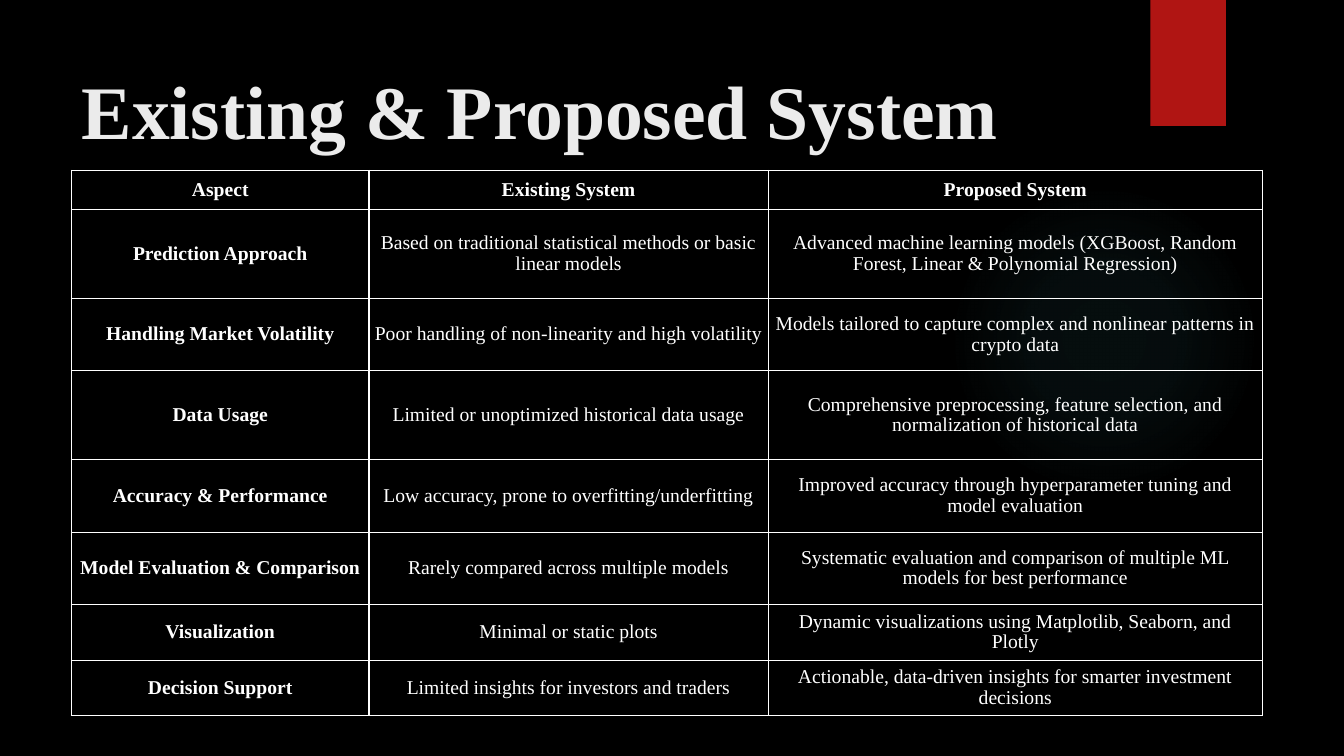
from lxml.etree import SubElement
from pptx import Presentation
from pptx.dml.color import RGBColor
from pptx.enum.shapes import MSO_SHAPE as SHAPE
from pptx.enum.text import MSO_ANCHOR as ANCHOR, PP_ALIGN as ALIGN
from pptx.oxml import parse_xml
from pptx.oxml.ns import nsdecls, qn
from pptx.util import Inches, Pt

COLORS = {"back": "000000", "title": "EBEBEB", "text": "FFFFFF",
          "border": "FFFFFF", "tab": "B01513", "glow": "50B9C1"}
FONT = "Times New Roman"
TITLE = "Existing & Proposed System"
ROWS = [
    ("Aspect", "Existing System", "Proposed System"),
    ("Prediction Approach",
     "Based on traditional statistical methods or basic linear models",
     "Advanced machine learning models (XGBoost, Random Forest, Linear & Polynomial Regression)"),
    ("Handling Market Volatility",
     "Poor handling of non-linearity and high volatility",
     "Models tailored to capture complex and nonlinear patterns in crypto data"),
    ("Data Usage",
     "Limited or unoptimized historical data usage",
     "Comprehensive preprocessing, feature selection, and normalization of historical data"),
    ("Accuracy & Performance",
     "Low accuracy, prone to overfitting/underfitting",
     "Improved accuracy through hyperparameter tuning and model evaluation"),
    ("Model Evaluation & Comparison",
     "Rarely compared across multiple models",
     "Systematic evaluation and comparison of multiple ML models for best performance"),
    ("Visualization",
     "Minimal or static plots",
     "Dynamic visualizations using Matplotlib, Seaborn, and Plotly"),
    ("Decision Support",
     "Limited insights for investors and traders",
     "Actionable, data-driven insights for smarter investment decisions"),
]
COL_WIDTHS = [2.95, 3.96, 4.9]
ROW_HEIGHTS = [0.39, 0.88, 0.72, 0.88, 0.72, 0.72, 0.55, 0.55]
GLOW_STOPS = [(0, 7), (36, 6), (69, 0)]  # position and opacity, percent


def rgb(name):
    return RGBColor.from_string(COLORS[name])


def set_text(tf, text, size=14, color="text", bold=False, align=ALIGN.CENTER, spacing=None):
    p = tf.paragraphs[0]
    p.alignment = align
    p.line_spacing = spacing
    r = p.add_run()
    r.text = text
    r.font.name, r.font.size, r.font.bold = FONT, Pt(size), bold
    r.font.color.rgb = rgb(color)


def add_plain_shape(slide, kind, *box):
    sp = slide.shapes.add_shape(kind, *map(Inches, box))
    sp.shadow.inherit = False
    sp.line.fill.background()
    return sp


def fill_glow(sp):
    """Fill a shape with a radial gradient that fades out."""
    stops = "".join(
        f'<a:gs pos="{pos * 1000}"><a:srgbClr val="{COLORS["glow"]}">'
        f'<a:alpha val="{alpha * 1000}"/></a:srgbClr></a:gs>' for pos, alpha in GLOW_STOPS)
    grad = parse_xml(
        f'<a:gradFill {nsdecls("a")} rotWithShape="1"><a:gsLst>{stops}</a:gsLst>'
        '<a:path path="circle"><a:fillToRect l="50000" t="50000" r="50000" b="50000"/>'
        '</a:path></a:gradFill>')
    sp._element.spPr.find(qn("a:prstGeom")).addnext(grad)


def set_borders(cell):
    tcPr = cell._tc.get_or_add_tcPr()
    for i, side in enumerate(("lnL", "lnR", "lnT", "lnB")):
        ln = SubElement(tcPr, qn(f"a:{side}"), w=str(Pt(1)))
        SubElement(SubElement(ln, qn("a:solidFill")), qn("a:srgbClr"), val=COLORS["border"])
        tcPr.remove(ln)
        tcPr.insert(i, ln)


def add_comparison(slide, left, top):
    frame = slide.shapes.add_table(
        len(ROWS), len(COL_WIDTHS), Inches(left), Inches(top),
        Inches(sum(COL_WIDTHS)), Inches(sum(ROW_HEIGHTS)))
    table = frame.table
    table.horz_banding = False
    for col, width in zip(table.columns, COL_WIDTHS):
        col.width = Inches(width)
    for row, height in zip(table.rows, ROW_HEIGHTS):
        row.height = Inches(height)
    for i, texts in enumerate(ROWS):
        for j, text in enumerate(texts):
            cell = table.cell(i, j)
            cell.fill.background()
            cell.vertical_anchor = ANCHOR.MIDDLE
            cell.margin_left = cell.margin_right = Inches(0.05)
            cell.margin_top = cell.margin_bottom = Inches(0.02)
            set_text(cell.text_frame, text, bold=i == 0 or j == 0, spacing=0.95)
            set_borders(cell)


def main():
    prs = Presentation()
    prs.slide_width, prs.slide_height = Inches(13.33), Inches(7.5)
    slide = prs.slides.add_slide(prs.slide_layouts[5])
    slide.background.fill.solid()
    slide.background.fill.fore_color.rgb = rgb("back")

    fill_glow(add_plain_shape(slide, SHAPE.OVAL, 9.41, 1.83, 3.08, 3.08))
    tab = add_plain_shape(slide, SHAPE.RECTANGLE, 11.41, 0, 0.75, 1.25)
    tab.fill.solid()
    tab.fill.fore_color.rgb = rgb("tab")

    title = slide.shapes.title
    title.left, title.top, title.width, title.height = map(Inches, (0.71, 0.5, 10.29, 1.53))
    tf = title.text_frame
    tf.vertical_anchor = ANCHOR.TOP
    tf.margin_top = Inches(0.13)
    set_text(tf, TITLE, size=54, color="title", bold=True, align=ALIGN.LEFT)

    add_comparison(slide, 0.71, 1.69)
    prs.save("out.pptx")


if __name__ == "__main__":
    main()
